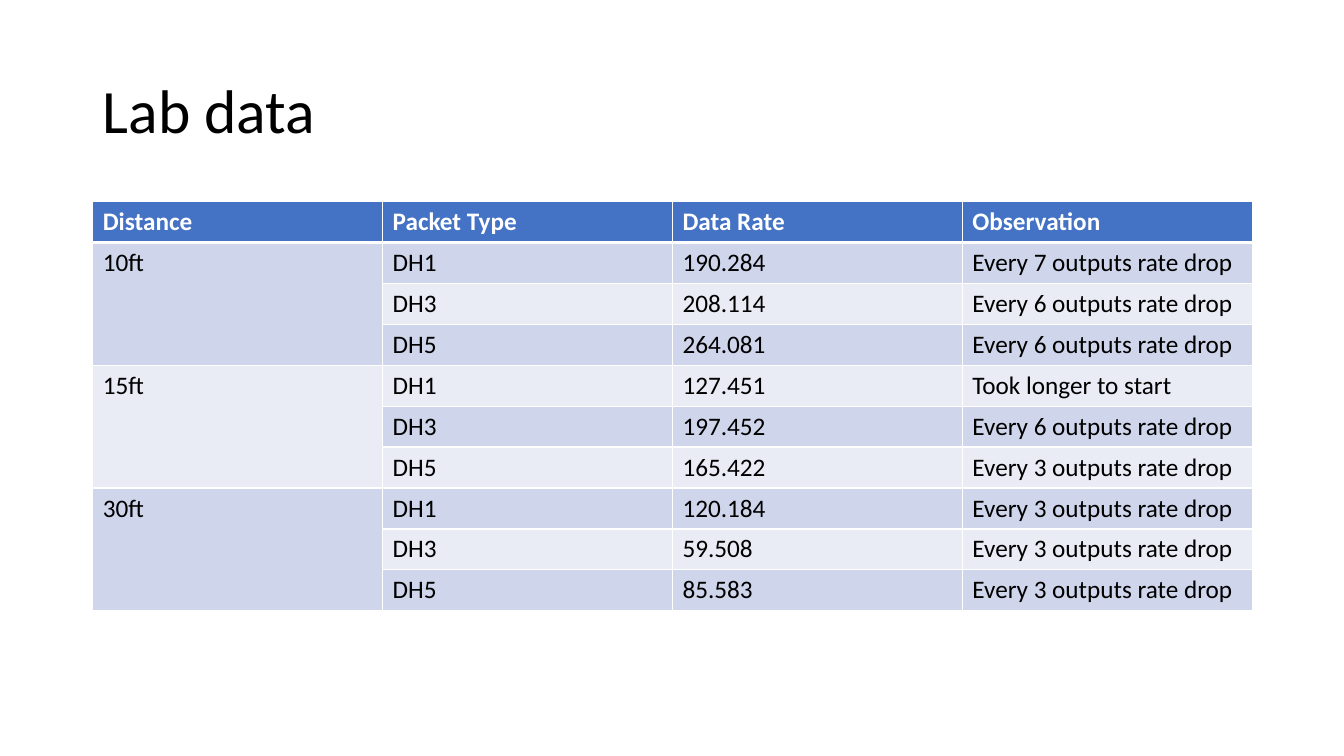
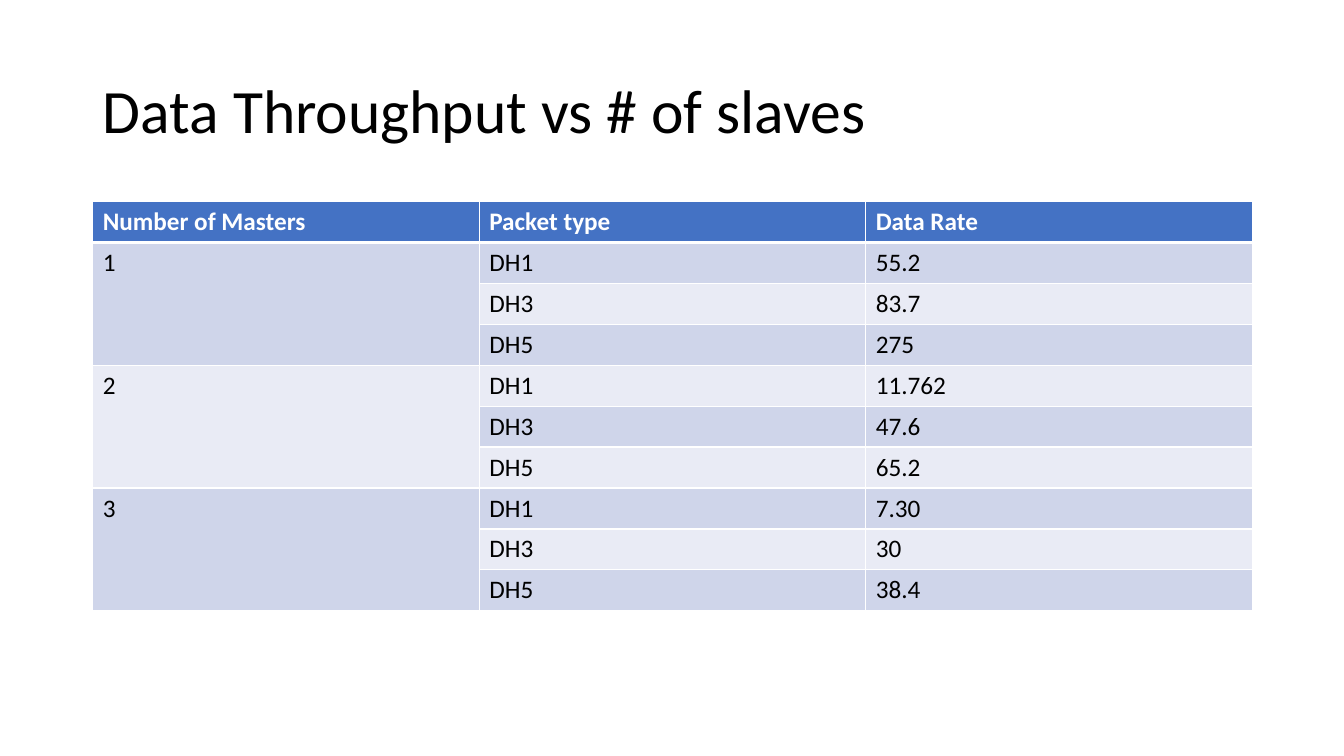
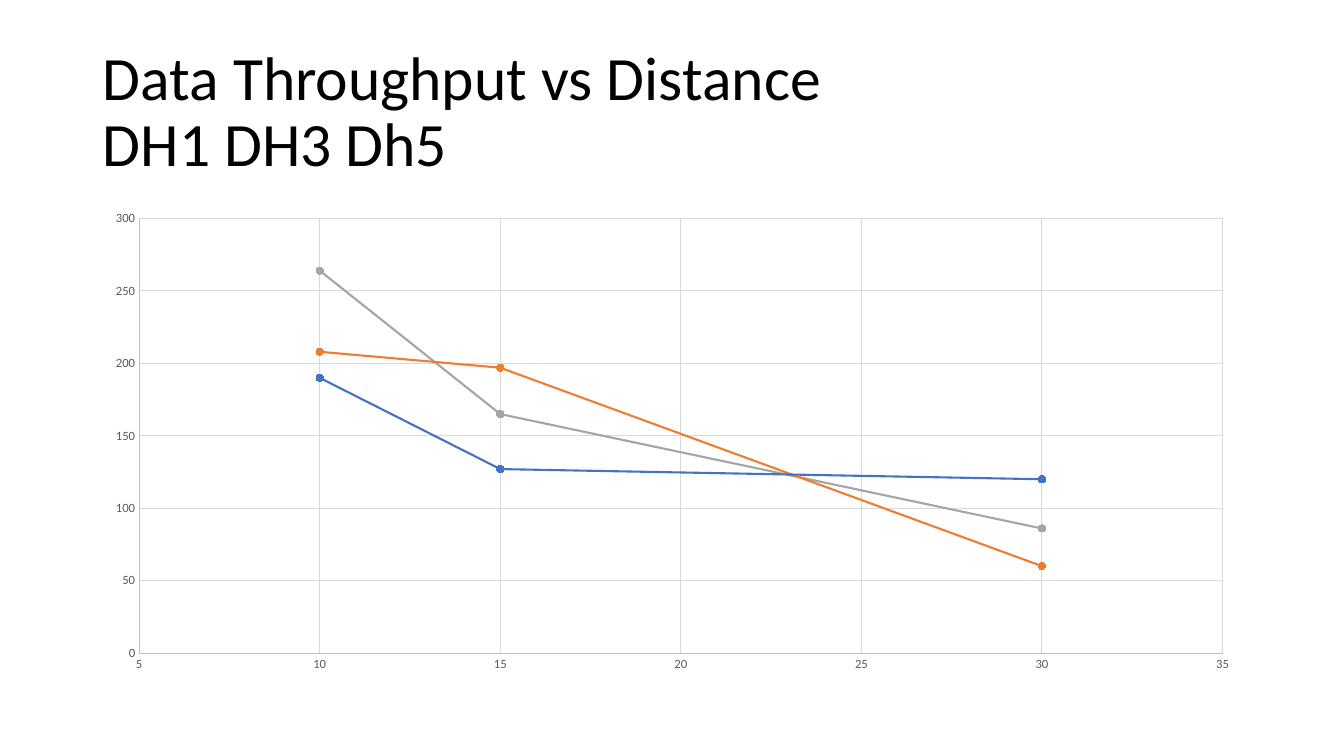
from dataclasses import dataclass

import lxml.etree
import pptx
import pptx.chart.data
import pptx.dml.color
import pptx.enum.chart
import pptx.enum.text
import pptx.oxml.ns
import pptx.util

Inches = pptx.util.Inches
Pt = pptx.util.Pt

FONT = "Calibri"
COLORS = {
    "black": "000000",
    "white": "FFFFFF",
    "header": "4472C4",
    "band dark": "CFD5EA",
    "band light": "E9EBF5",
    "DH1": "4472C4",
    "DH3": "ED7D31",
    "DH5": "A5A5A5",
    "axis text": "595959",
    "axis line": "BFBFBF",
    "grid": "D9D9D9",
}
LEFT, WIDTH = 0.92, 11.5
TITLE_TOP, TITLE_HEIGHT = 0.4, 1.45
BODY_TOP = 2
TABLE_HEIGHT = 4.06
CHART_HEIGHT = 4.76
PACKET_TYPES = ("DH1", "DH3", "DH5")
THIN, THICK = 1, 3


@dataclass
class Group:
    """A merged first-column label and the cells after each packet type."""
    label: str
    rows: list[tuple[str, ...]]


@dataclass
class TableSlide:
    """A slide holding one table of grouped packet rows."""
    title: str
    headings: tuple[str, ...]
    groups: list[Group]


@dataclass
class Series:
    """One line of the scatter chart."""
    name: str
    color: str
    rates: tuple[int, ...]


TABLE_SLIDES = [
    TableSlide(
        "Lab data",
        ("Distance", "Packet Type", "Data Rate", "Observation"),
        [
            Group("10ft", [("190.284", "Every 7 outputs rate drop"),
                           ("208.114", "Every 6 outputs rate drop"),
                           ("264.081", "Every 6 outputs rate drop")]),
            Group("15ft", [("127.451", "Took longer to start"),
                           ("197.452", "Every 6 outputs rate drop"),
                           ("165.422", "Every 3 outputs rate drop")]),
            Group("30ft", [("120.184", "Every 3 outputs rate drop"),
                           ("59.508", "Every 3 outputs rate drop"),
                           ("85.583", "Every 3 outputs rate drop")]),
        ],
    ),
    TableSlide(
        "Data Throughput vs # of slaves",
        ("Number of Masters", "Packet type", "Data Rate"),
        [
            Group("1", [("55.2",), ("83.7",), ("275",)]),
            Group("2", [("11.762",), ("47.6",), ("65.2",)]),
            Group("3", [("7.30",), ("30",), ("38.4",)]),
        ],
    ),
]

DISTANCES = (10, 15, 30)
SERIES = [
    Series("Series 1", "DH1", (190, 127, 120)),
    Series("Series 2", "DH3", (208, 197, 60)),
    Series("Series 3", "DH5", (264, 165, 86)),
]


def rgb(name: str) -> pptx.dml.color.RGBColor:
    """Look up a named colour."""
    return pptx.dml.color.RGBColor.from_string(COLORS[name])


def style_font(font, size: float, color: str, bold: bool = False) -> None:
    """Set typeface, size, colour and weight."""
    font.name = FONT
    font.size = Pt(size)
    font.bold = bold
    font.color.rgb = rgb(color)


def style_line(line, color: str, width: float) -> None:
    """Set a solid line colour and width."""
    line.color.rgb = rgb(color)
    line.width = Pt(width)


def add_titled_slide(presentation, title: str):
    """Add a title-only slide with the shared title style."""
    slide = presentation.slides.add_slide(presentation.slide_layouts[5])
    shape = slide.shapes.title
    shape.left, shape.top = Inches(LEFT), Inches(TITLE_TOP)
    shape.width, shape.height = Inches(WIDTH), Inches(TITLE_HEIGHT)
    frame = shape.text_frame
    frame.word_wrap = True
    frame.auto_size = pptx.enum.text.MSO_AUTO_SIZE.NONE
    frame.vertical_anchor = pptx.enum.text.MSO_ANCHOR.MIDDLE
    paragraph = frame.paragraphs[0]
    paragraph.alignment = pptx.enum.text.PP_ALIGN.LEFT
    paragraph.line_spacing = 0.9
    for index, text in enumerate(title.split("\n")):
        if index:
            paragraph.add_line_break()
        run = paragraph.add_run()
        run.text = text
        style_font(run.font, 44, "black")
    return slide


def set_borders(cell, top: float, bottom: float) -> None:
    """Draw white borders, with thin sides, around a cell."""
    properties = cell._tc.get_or_add_tcPr()
    qualified = pptx.oxml.ns.qn
    for side, width in (("L", THIN), ("R", THIN), ("T", top), ("B", bottom)):
        line = lxml.etree.SubElement(properties, qualified(f"a:ln{side}"), w=str(Pt(width)))
        fill = lxml.etree.SubElement(line, qualified("a:solidFill"))
        lxml.etree.SubElement(fill, qualified("a:srgbClr"), val=COLORS["white"])


def fill_cell(cell, text: str, row: int) -> None:
    """Write and format one cell according to its row."""
    is_header = row == 0
    set_borders(cell, THICK if row == 1 else THIN, THICK if is_header else THIN)
    band = "band dark" if row % 2 else "band light"
    cell.fill.solid()
    cell.fill.fore_color.rgb = rgb("header" if is_header else band)
    if text:
        run = cell.text_frame.paragraphs[0].add_run()
        run.text = text
        style_font(run.font, 18, "white" if is_header else "black", is_header)


def add_table_slide(presentation, content: TableSlide) -> None:
    """Add a slide with a banded table and merged group labels."""
    slide = add_titled_slide(presentation, content.title)
    rows = [content.headings]
    for group in content.groups:
        for index, (packet, cells) in enumerate(zip(PACKET_TYPES, group.rows)):
            rows.append(("" if index else group.label, packet, *cells))
    columns = len(content.headings)
    table = slide.shapes.add_table(
        len(rows), columns, Inches(LEFT), Inches(BODY_TOP), Inches(WIDTH), Inches(TABLE_HEIGHT)
    ).table
    for row, texts in enumerate(rows):
        for column, text in enumerate(texts):
            fill_cell(table.cell(row, column), text, row)
    span = len(PACKET_TYPES)
    for first in range(1, len(rows), span):
        table.cell(first, 0).merge(table.cell(first + span - 1, 0))


def style_axis(axis, minimum: float, maximum: float, step: float) -> None:
    """Set the scale, grid, line and labels of a chart axis."""
    axis.minimum_scale, axis.maximum_scale, axis.major_unit = minimum, maximum, step
    axis.has_major_gridlines = True
    style_line(axis.major_gridlines.format.line, "grid", 0.75)
    style_line(axis.format.line, "axis line", 0.75)
    axis.major_tick_mark = pptx.enum.chart.XL_TICK_MARK.NONE
    axis.minor_tick_mark = pptx.enum.chart.XL_TICK_MARK.NONE
    style_font(axis.tick_labels.font, 9, "axis text")


def add_chart_slide(presentation, title: str) -> None:
    """Add a slide with the rate against distance chart."""
    slide = add_titled_slide(presentation, title)
    data = pptx.chart.data.XyChartData()
    for series in SERIES:
        points = data.add_series(series.name)
        for distance, rate in zip(DISTANCES, series.rates):
            points.add_data_point(distance, rate)
    chart = slide.shapes.add_chart(
        pptx.enum.chart.XL_CHART_TYPE.XY_SCATTER_LINES,
        Inches(LEFT), Inches(BODY_TOP), Inches(WIDTH), Inches(CHART_HEIGHT), data,
    ).chart
    chart.has_title = False
    chart.has_legend = False
    style_font(chart.font, 10, "black")
    style_axis(chart.category_axis, 5, 35, 5)
    style_axis(chart.value_axis, 0, 300, 50)
    plot = chart.plots[0]
    plot.vary_by_categories = False
    for series, drawn in zip(SERIES, plot.series):
        drawn.smooth = False
        style_line(drawn.format.line, series.color, 1.5)
        marker = drawn.marker
        marker.style = pptx.enum.chart.XL_MARKER_STYLE.CIRCLE
        marker.size = 5
        marker.format.fill.solid()
        marker.format.fill.fore_color.rgb = rgb(series.color)
        style_line(marker.format.line, series.color, 0.75)


def main() -> None:
    """Build and save the presentation."""
    presentation = pptx.Presentation()
    presentation.slide_width = Inches(13.33)
    presentation.slide_height = Inches(7.5)
    for content in TABLE_SLIDES:
        add_table_slide(presentation, content)
    add_chart_slide(presentation, "Data Throughput vs Distance\nDH1 DH3 Dh5")
    presentation.save("out.pptx")


main()
